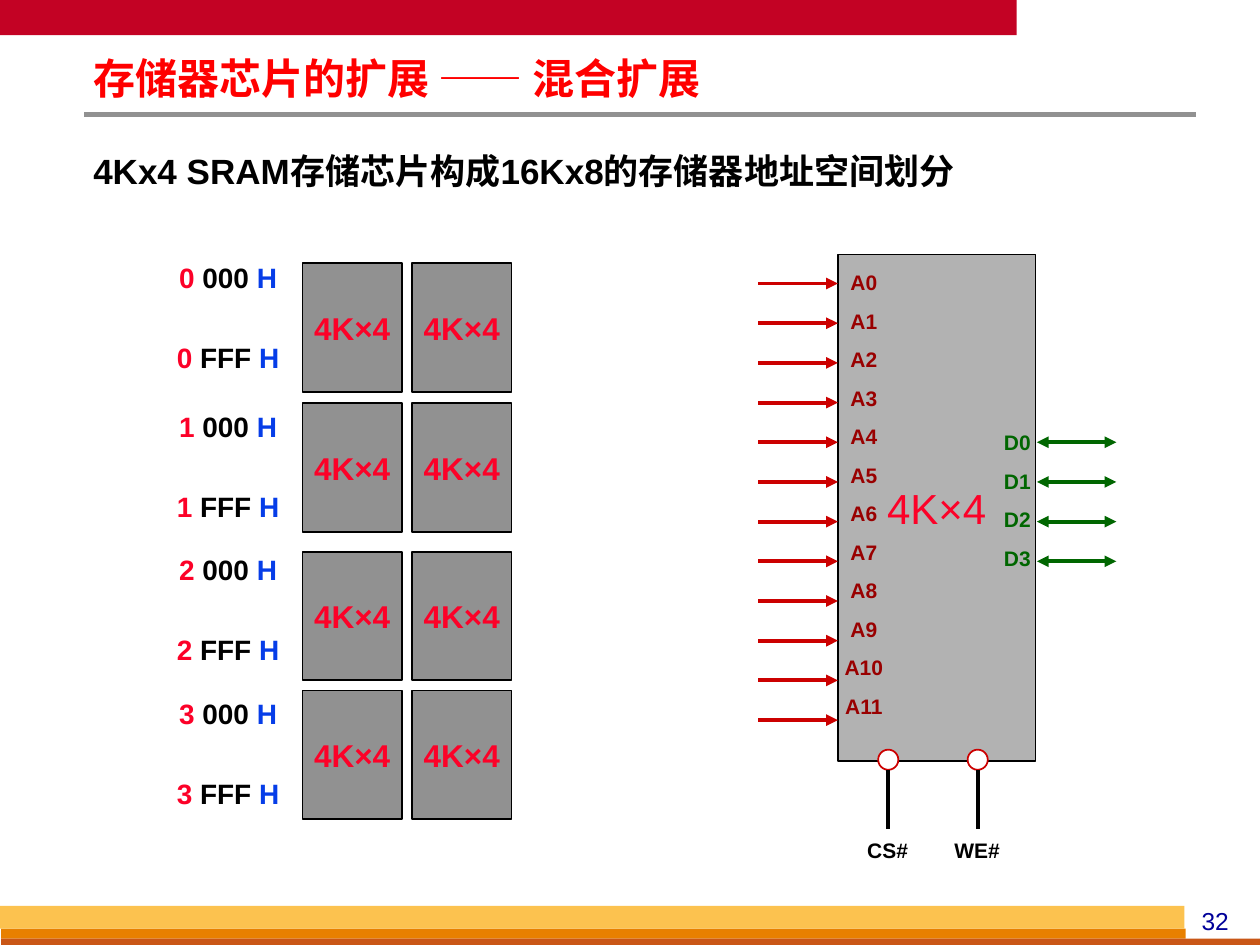
from lxml import etree
from pptx import Presentation
from pptx.dml.color import RGBColor
from pptx.enum.shapes import MSO_CONNECTOR, MSO_SHAPE
from pptx.enum.text import MSO_ANCHOR, MSO_AUTO_SIZE, PP_ALIGN
from pptx.oxml.ns import qn
from pptx.util import Inches, Pt

RECT, OVAL = MSO_SHAPE.RECTANGLE, MSO_SHAPE.OVAL
LINE = MSO_CONNECTOR.STRAIGHT
LEFT, CENTER = PP_ALIGN.LEFT, PP_ALIGN.CENTER
TOP, MIDDLE = MSO_ANCHOR.TOP, MSO_ANCHOR.MIDDLE
FIXED = MSO_AUTO_SIZE.NONE

LATIN, HAN = "Arial", "Noto Sans CJK SC"
BLACK, WHITE, GRAY = "000000", "FFFFFF", "919191"
PINK, BLUE, RED, GREEN = "FC0128", "063DE8", "CC0000", "006600"
STEP = 0.315  # gap between pins


def paint(fmt, color):
    fmt.rgb = RGBColor.from_string(color)


def style(obj, values):
    for name, value in values.items():
        setattr(obj, name, value)


def write(frame, rows, size, bold=True, font=LATIN, align=CENTER, gap=0,
          anchor=TOP, wrap=True, pads=(0.1, 0.05, 0.1, 0.05)):
    """Fill a frame; each row is a list of (text, color) runs."""
    left, top, right, low = map(Inches, pads)
    style(frame, dict(word_wrap=wrap, auto_size=FIXED, vertical_anchor=anchor,
                      margin_left=left, margin_top=top,
                      margin_right=right, margin_bottom=low))
    for i, row in enumerate(rows):
        para = frame.add_paragraph() if i else frame.paragraphs[0]
        style(para, dict(alignment=align, space_before=Pt(gap if i else 0)))
        for words, color in row:
            run = para.add_run()
            run.text = words
            style(run.font, dict(name=font, size=Pt(size), bold=bold))
            paint(run.font.color, color)
            east = etree.SubElement(run.font._element, qn("a:ea"))
            east.set("typeface", HAN)


def label(shapes, box, rows, size, **opts):
    item = shapes.add_textbox(*map(Inches, box))
    write(item.text_frame, rows, size, **opts)


def block(shapes, box, fill, edge=None, kind=RECT):
    item = shapes.add_shape(kind, *map(Inches, box))
    item.shadow.inherit = False
    item.fill.solid()
    paint(item.fill.fore_color, fill)
    if edge:
        paint(item.line.color, edge)
        item.line.width = Pt(1)
    else:
        item.line.fill.background()
    return item


def wire(shapes, ends, color, width=2.25, heads=()):
    item = shapes.add_connector(LINE, *map(Inches, ends))
    paint(item.line.color, color)
    item.line.width = Pt(width)
    props = item._element.spPr
    for head in heads:
        etree.SubElement(props.find(qn("a:ln")), qn(head)).set("type", "triangle")
    etree.SubElement(props, qn("a:effectLst"))


def place(item, box):
    names = ("left", "top", "width", "height")
    style(item, dict(zip(names, map(Inches, box))))


def frame_page(shapes):
    # Bars, rule and page number
    for box, fill in (((0, 0, 8.07, 0.28), "C30224"),
                      ((0.01, 7.37, 9.4, 0.08), "E88000"),
                      ((0.01, 7.45, 9.99, 0.05), "C95616"),
                      ((0, 7.19, 9.4, 0.18), "FCC24F")):
        block(shapes, box, fill)
    wire(shapes, (0.67, 0.91, 9.49, 0.91), GRAY, 3)
    label(shapes, (9.33, 7.14, 0.63, 0.33), [[("32", "000099")]], 14, bold=False)


def head_text(slide):
    # Title and lead line
    pads = (0.07, 0.03, 0.07, 0.03)
    title, body = slide.shapes.title, slide.placeholders[1]
    place(title, (0.67, 0.44, 7.56, 0.41))
    write(title.text_frame, [[("存储器芯片的扩展 —— 混合扩展", "FF0000")]], 24,
          font=HAN, align=LEFT, pads=pads)
    title.text_frame.paragraphs[0].line_spacing = 0.87

    place(body, (0.67, 1.16, 8.74, 0.39))
    lead = body.text_frame.paragraphs[0]
    props = lead._p.get_or_add_pPr()
    props.set("marL", str(Inches(0.31)))
    props.set("indent", str(Inches(-0.31)))
    etree.SubElement(props, qn("a:buNone"))
    write(body.text_frame,
          [[("4Kx4 SRAM存储芯片构成16Kx8的存储器地址空间划分", BLACK)]], 20,
          align=LEFT, pads=pads)


def draw_chip(shapes):
    # Chip body
    chip = block(shapes, (6.65, 2.02, 1.57, 4.02), "B2B2B2", BLACK)
    write(chip.text_frame, [[("4K×4", PINK)]], 24, bold=False,
          anchor=MIDDLE, wrap=False)

    # Address pins
    for i in range(12):
        y = 2.25 + i * STEP
        wire(shapes, (6.02, y, 6.65, y), RED, heads=["a:tailEnd"])
    label(shapes, (6.65, 2.1, 0.47, 3.76),
          [[(f"A{i}", "990000")] for i in range(12)], 12, gap=7.6,
          pads=(0.04, 0.04, 0.1, 0.04))

    # Data pins
    for i in range(4):
        y = 3.51 + i * STEP
        wire(shapes, (8.23, y, 8.86, y), GREEN, heads=["a:headEnd", "a:tailEnd"])
    label(shapes, (7.76, 3.36, 0.63, 1.25),
          [[(f"D{i}", GREEN)] for i in range(4)], 12, gap=7.6)

    # Control pins
    for name, x in (("CS#", 7.05), ("WE#", 7.76)):
        block(shapes, (x - 0.08, 5.95, 0.16, 0.16), WHITE, RED, OVAL)
        wire(shapes, (x, 6.11, x, 6.58), BLACK)
        label(shapes, (x - 0.32, 6.6, 0.63, 0.3), [[(name, BLACK)]], 12)


def draw_banks(shapes):
    # Address ranges, each beside a pair of chips
    tops = ((2.09, 2.02), (3.2, 3.2), (4.38, 4.34), (5.48, 5.48))
    for bank, (top, high) in enumerate(tops):
        for x in (2.4, 3.27):
            cell = block(shapes, (x, top, 0.79, 1.02), GRAY, BLACK)
            write(cell.text_frame, [[("4K×4", PINK)]], 18,
                  anchor=MIDDLE, wrap=False)
        rows = [[(f"{bank} ", PINK), (f"{part} ", BLACK), ("H", BLUE)]
                for part in ("000", "FFF")]
        label(shapes, (1.22, high, 1.18, 1.06), rows, 16, gap=26.5)


def main():
    deck = Presentation()
    deck.slide_width, deck.slide_height = Inches(10), Inches(7.5)
    slide = deck.slides.add_slide(deck.slide_layouts[1])
    frame_page(slide.shapes)
    head_text(slide)
    draw_chip(slide.shapes.add_group_shape().shapes)
    draw_banks(slide.shapes.add_group_shape().shapes)
    deck.save("out.pptx")


if __name__ == "__main__":
    main()
